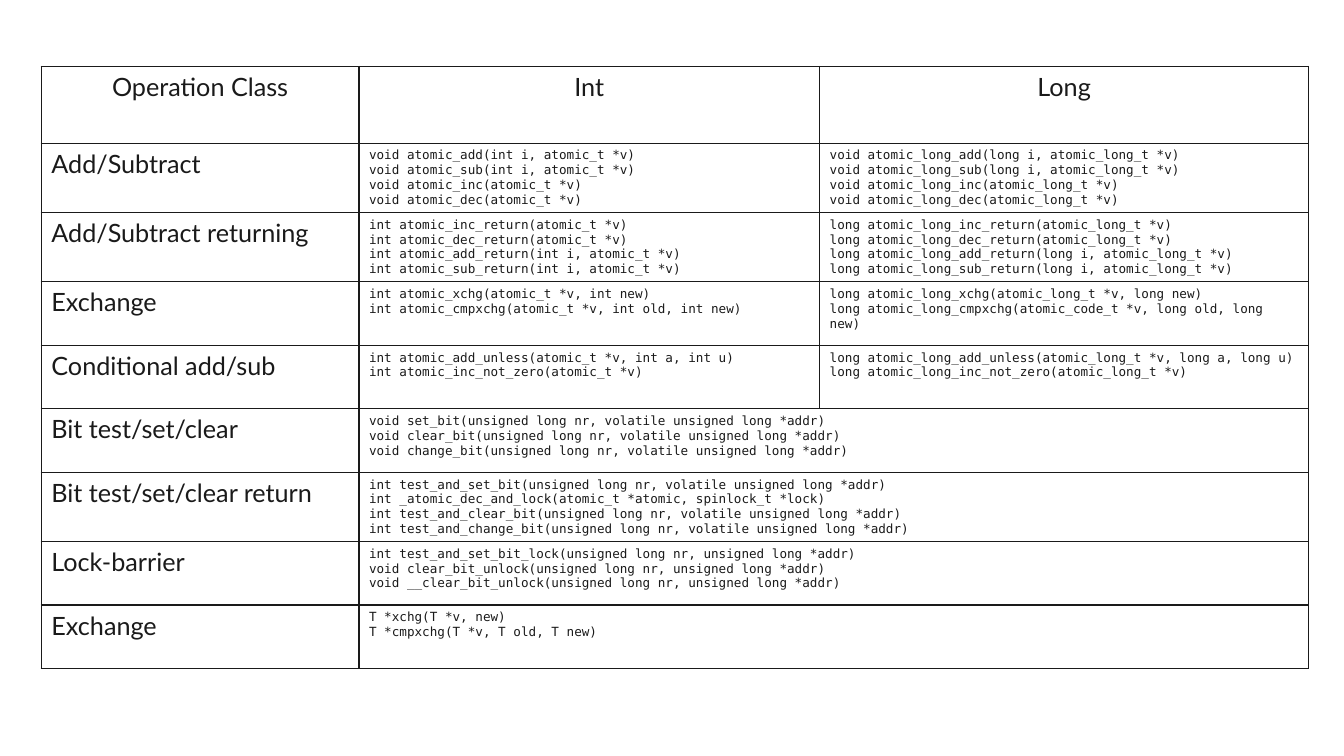
from copy import deepcopy

from lxml.etree import SubElement
from pptx import Presentation
from pptx.dml.color import RGBColor
from pptx.enum.text import PP_ALIGN
from pptx.oxml import parse_xml
from pptx.oxml.ns import nsdecls, qn
from pptx.util import Inches, Pt

INK = "1A1A1A"
PAPER = "FFFFFF"
LABEL = {"name": "Lato", "size": Pt(18)}
CODE = {"name": "DejaVu Sans Mono", "size": Pt(9)}
COL_WIDTHS = [3.15, 4.57, 4.85]
HEADER_HEIGHT, ROW_HEIGHT = 0.76, 0.63
HEADERS = ["Operation Class", "Int", "Long"]
OPERATIONS = [
    ("Add/Subtract",
     ["void atomic_add(int i, atomic_t *v)",
      "void atomic_sub(int i, atomic_t *v)",
      "void atomic_inc(atomic_t *v)",
      "void atomic_dec(atomic_t *v)"],
     ["void atomic_long_add(long i, atomic_long_t *v)",
      "void atomic_long_sub(long i, atomic_long_t *v)",
      "void atomic_long_inc(atomic_long_t *v)",
      "void atomic_long_dec(atomic_long_t *v)"]),
    ("Add/Subtract returning",
     ["int atomic_inc_return(atomic_t *v)",
      "int atomic_dec_return(atomic_t *v)",
      "int atomic_add_return(int i, atomic_t *v)",
      "int atomic_sub_return(int i, atomic_t *v)"],
     ["long atomic_long_inc_return(atomic_long_t *v)",
      "long atomic_long_dec_return(atomic_long_t *v)",
      "long atomic_long_add_return(long i, atomic_long_t *v)",
      "long atomic_long_sub_return(long i, atomic_long_t *v)"]),
    ("Exchange",
     ["int atomic_xchg(atomic_t *v, int new)",
      "int atomic_cmpxchg(atomic_t *v, int old, int new)"],
     ["long atomic_long_xchg(atomic_long_t *v, long new)",
      "long atomic_long_cmpxchg(atomic_code_t *v, long old, long new)"]),
    ("Conditional add/sub",
     ["int atomic_add_unless(atomic_t *v, int a, int u)",
      "int atomic_inc_not_zero(atomic_t *v)"],
     ["long atomic_long_add_unless(atomic_long_t *v, long a, long u)",
      "long atomic_long_inc_not_zero(atomic_long_t *v)"]),
    ("Bit test/set/clear",
     ["void set_bit(unsigned long nr, volatile unsigned long *addr)",
      "void clear_bit(unsigned long nr, volatile unsigned long *addr)",
      "void change_bit(unsigned long nr, volatile unsigned long *addr)"]),
    ("Bit test/set/clear return",
     ["int test_and_set_bit(unsigned long nr, volatile unsigned long *addr)",
      "int _atomic_dec_and_lock(atomic_t *atomic, spinlock_t *lock)",
      "int test_and_clear_bit(unsigned long nr, volatile unsigned long *addr)",
      "int test_and_change_bit(unsigned long nr, volatile unsigned long *addr)"]),
    ("Lock-barrier",
     ["int test_and_set_bit_lock(unsigned long nr, unsigned long *addr)",
      "void clear_bit_unlock(unsigned long nr, unsigned long *addr)",
      "void __clear_bit_unlock(unsigned long nr, unsigned long *addr)"]),
    ("Exchange",
     ["T *xchg(T *v, new)",
      "T *cmpxchg(T *v, T old, T new)"]),
]


def set_color(fmt, color):
    if hasattr(fmt, "solid"):
        fmt.solid()
        fmt.fore_color.rgb = RGBColor.from_string(color)
    else:
        fmt.color.rgb = RGBColor.from_string(color)


def add_borders(cell, color, width):
    tcPr = cell._tc.get_or_add_tcPr()
    for i, side in enumerate(["lnL", "lnR", "lnT", "lnB"]):
        ln = parse_xml(f'<a:{side} {nsdecls("a")} w="{Pt(width)}"/>')
        fill = SubElement(ln, qn("a:solidFill"))
        SubElement(fill, qn("a:srgbClr"), val=color)
        tcPr.insert(i, ln)


def write_cell(cell, lines, font, align=PP_ALIGN.LEFT):
    """Write lines as one paragraph, with line breaks sized like the text."""
    p = cell.text_frame.paragraphs[0]
    p.text = "\v".join(lines)
    p.alignment = align
    for r in p.runs:
        for name, value in font.items():
            setattr(r.font, name, value)
        set_color(r.font, INK)
    for br in p._p.findall(qn("a:br")):
        br.insert(0, deepcopy(p.runs[0]._r.rPr))


def add_grid(s):
    shape = s.shapes.add_table(
        len(OPERATIONS) + 1, len(COL_WIDTHS), Inches(0.41), Inches(0.66),
        Inches(sum(COL_WIDTHS)),
        Inches(HEADER_HEIGHT + ROW_HEIGHT * len(OPERATIONS)))
    table = shape.table
    table.first_row = table.horz_banding = False
    for col, width in zip(table.columns, COL_WIDTHS):
        col.width = Inches(width)
    for i, row in enumerate(table.rows):
        row.height = Inches(ROW_HEIGHT if i else HEADER_HEIGHT)
    for cell in table.iter_cells():
        set_color(cell.fill, PAPER)
        add_borders(cell, INK, 1)
    return table


def fill_grid(table):
    for c, header in enumerate(HEADERS):
        write_cell(table.cell(0, c), [header], LABEL, PP_ALIGN.CENTER)
    for i, (label, *columns) in enumerate(OPERATIONS, 1):
        write_cell(table.cell(i, 0), [label], LABEL)
        if len(columns) == 1:
            table.cell(i, 1).merge(table.cell(i, 2))
        for c, lines in enumerate(columns, 1):
            write_cell(table.cell(i, c), lines, CODE)


def main():
    prs = Presentation()
    prs.slide_width, prs.slide_height = Inches(13.33), Inches(7.5)
    s = prs.slides.add_slide(prs.slide_layouts[6])
    fill_grid(add_grid(s))
    prs.save("out.pptx")


if __name__ == "__main__":
    main()
